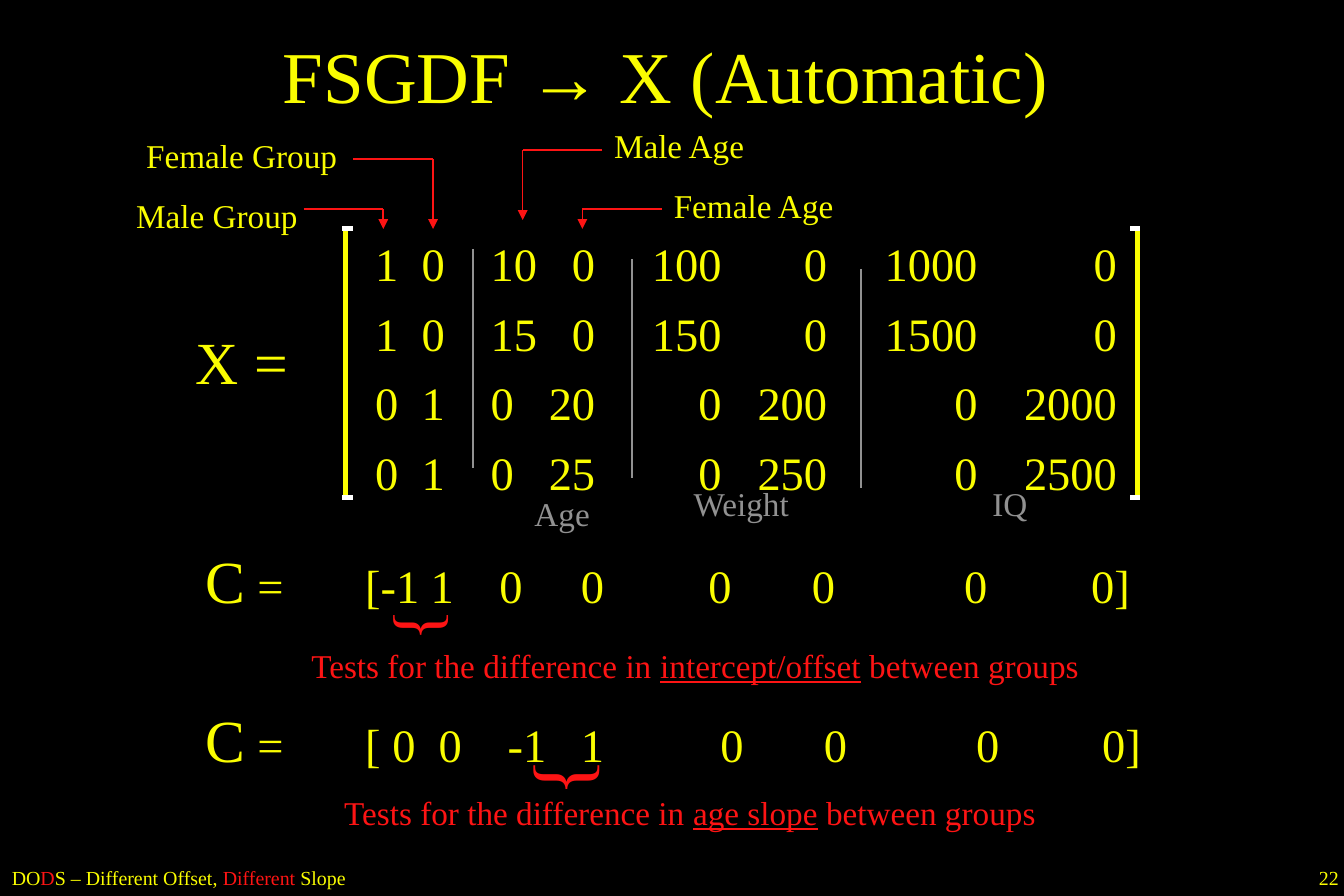
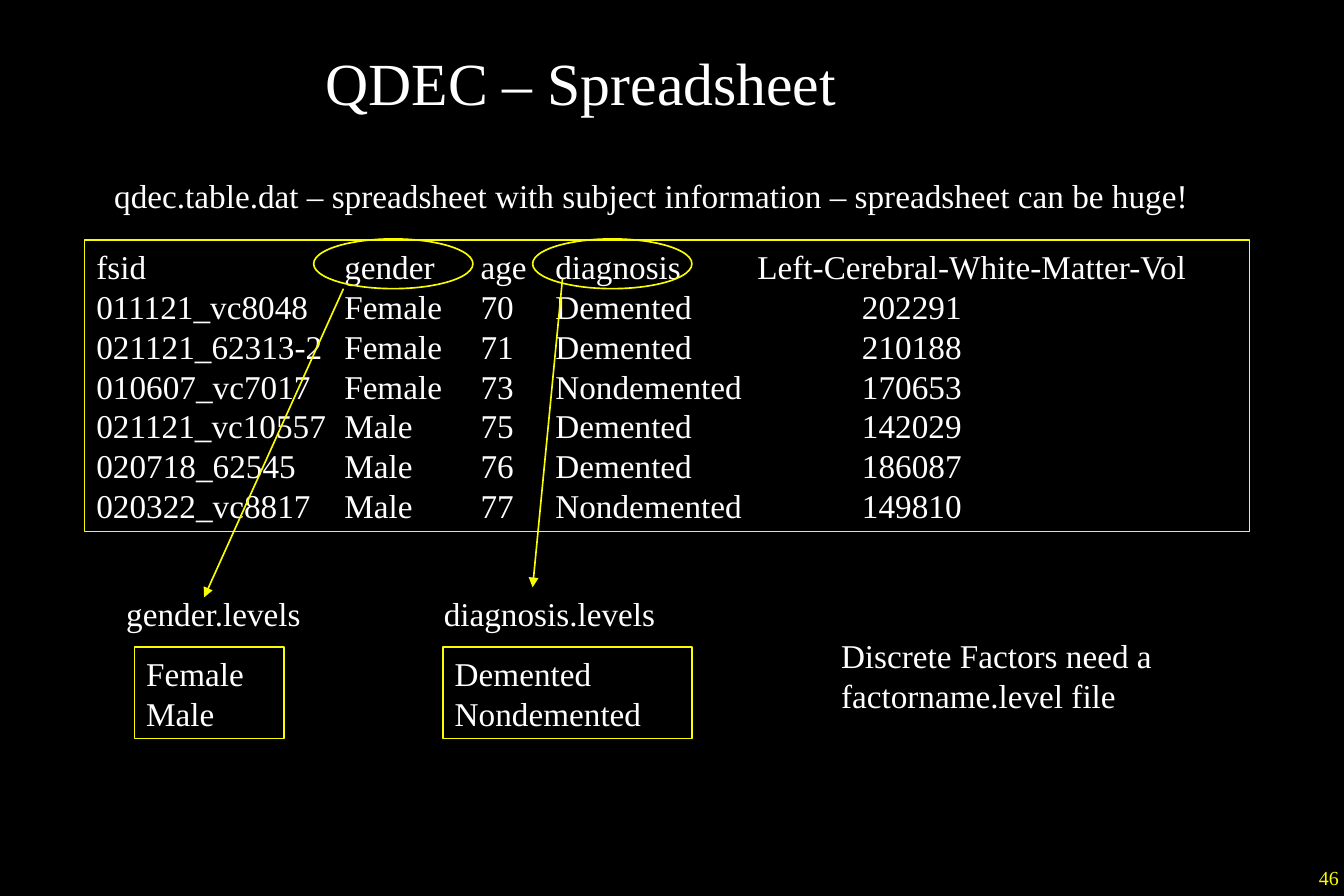
import dataclasses
import typing

import lxml.etree
import pptx
import pptx.dml.color
import pptx.enum.shapes
import pptx.enum.text
import pptx.oxml.ns
import pptx.util

# Shared look: a grid of 135 columns by 90 rows on the whole slide
WIDE, HIGH = pptx.util.Inches(11.25), pptx.util.Inches(7.5)
COLS, ROWS = 135, 90
BLACK, WHITE, GOLD, RED, GREY = "000000", "FFFFFF", "FAFD00", "FD1414", "919191"
SERIF, SANS = "Times New Roman", "Arial"
SMALL, BODY, BIG, HEAD = 12, 20, 28, 36
ROW = 5.3
SHAPE = pptx.enum.shapes.MSO_SHAPE
ALIGN = pptx.enum.text.PP_ALIGN


@dataclasses.dataclass
class Span:
    text: str
    hue: str = ""
    size: float = 0
    font: str = SERIF
    under: bool = False


@dataclasses.dataclass
class Line:
    spans: list[Span]
    tabs: str = ""  # such as "7r 11.6l": columns from the text edge


@dataclasses.dataclass
class Box:
    left: float
    top: float
    wide: float
    high: float = ROW


@dataclasses.dataclass
class Style:
    hue: str = GOLD
    size: float = BODY
    align: typing.Any = ALIGN.LEFT
    gap: float = 0


def across(cols: float) -> int:
    return round(WIDE * cols / COLS)


def down(rows: float) -> int:
    return round(HIGH * rows / ROWS)


def tint(code: str) -> pptx.dml.color.RGBColor:
    return pptx.dml.color.RGBColor.from_string(code)


def place(box: Box) -> tuple[int, int, int, int]:
    return across(box.left), down(box.top), across(box.wide), down(box.high)


def plain(*texts: str, tabs: str = "") -> list[Line]:
    return [Line([Span(text)], tabs) for text in texts]


def add_node(base: typing.Any, tag: str, **attrs: str) -> typing.Any:
    return lxml.etree.SubElement(base, pptx.oxml.ns.qn(tag), attrs)


def write(frame: typing.Any, lines: list[Line], style: Style) -> None:
    frame.word_wrap = True
    for index, line in enumerate(lines):
        para = frame.add_paragraph() if index else frame.paragraphs[0]
        if line.tabs:
            stops = add_node(para._p.get_or_add_pPr(), "a:tabLst")
            for stop in line.tabs.split():
                add_node(stops, "a:tab", pos=str(across(float(stop[:-1]))), algn=stop[-1])
        para.alignment = style.align
        if index:
            para.space_before = pptx.util.Pt(style.gap)
        for span in line.spans:
            run = para.add_run()
            run.text = span.text
            run.font.name = span.font
            run.font.size = pptx.util.Pt(span.size or style.size)
            run.font.color.rgb = tint(span.hue or style.hue)
            if span.under:
                run.font.underline = True


def add_text(slide: typing.Any, box: Box, lines: list[Line], style: Style = Style()) -> typing.Any:
    shape = slide.shapes.add_textbox(*place(box))
    write(shape.text_frame, lines, style)
    return shape


def add_frame(slide: typing.Any, kind: typing.Any, box: Box, lines: list[Line]) -> None:
    shape = slide.shapes.add_shape(kind, *place(box))
    shape.shadow.inherit = False
    shape.fill.background()
    shape.line.color.rgb = tint(GOLD)
    shape.line.width = pptx.util.Pt(1)
    if lines:
        shape.text_frame.vertical_anchor = pptx.enum.text.MSO_ANCHOR.MIDDLE
        write(shape.text_frame, lines, Style(WHITE))


def add_line(slide: typing.Any, start: tuple[float, float], end: tuple[float, float],
             hue: str, width: float = 1, arrow: bool = False) -> None:
    line = slide.shapes.add_connector(
        pptx.enum.shapes.MSO_CONNECTOR.STRAIGHT,
        across(start[0]), down(start[1]), across(end[0]), down(end[1]))
    line.line.color.rgb = tint(hue)
    line.line.width = pptx.util.Pt(width)
    if arrow:
        add_node(line.line._get_or_add_ln(), "a:tailEnd", type="triangle")
    add_node(line._element.spPr, "a:effectLst")


def add_slide(deck: typing.Any, page: str) -> typing.Any:
    slide = deck.slides.add_slide(deck.slide_layouts[6])
    shape = add_text(slide, Box(131.3, 86.4, 3.7, 3.6), plain(page), Style(size=SMALL))
    shape.text_frame.margin_right = 0
    return slide


def draw_design(deck: typing.Any) -> None:
    slide = add_slide(deck, "22")

    # Title and footer
    title = add_text(slide, Box(9.5, 0, 114.7, 15),
                     [Line([Span("FSGDF "), Span("→", font=SANS), Span(" X (Automatic)")])],
                     Style(size=44, align=ALIGN.CENTER))
    title.text_frame.vertical_anchor = pptx.enum.text.MSO_ANCHOR.MIDDLE
    add_text(slide, Box(0, 86.4, 40, 3.6),
             [Line([Span("DO"), Span("D", RED), Span("S – Different Offset, "),
                    Span("Different", RED), Span(" Slope")])], Style(size=SMALL))

    # Matrix
    add_text(slide, Box(18.5, 32, 14, 8.4), plain("X ="), Style(size=HEAD))
    add_text(slide, Box(36.5, 23, 86, 28),
             plain("1\t0\t10\t0\t100\t0\t1000\t0",
                   "1\t0\t15\t0\t150\t0\t1500\t0",
                   "0\t1\t0\t20\t0\t200\t0\t2000",
                   "0\t1\t0\t25\t0\t250\t0\t2500",
                   tabs="7r 11.6l 22.1r 34.8r 45.4r 60.5r 74.5r"),
             Style(size=BIG, gap=8.4))
    top, foot = 23, 50
    for stem, back, tip in ((34.7, 34.4, 35.5), (114.3, 114.5, 113.5)):
        add_line(slide, (stem, top), (stem, foot), GOLD, 3)
        for edge in (top, foot):
            add_line(slide, (back, edge), (tip, edge), WHITE, 3)
    for left, high in ((47.5, 25), (63.5, 26), (86.5, 27)):
        add_line(slide, (left, high), (left, high + 22), GREY)

    # Column labels and their bent arrows
    for text, left, high, hue in (
            ("Male Group", 12.5, 19, GOLD), ("Female Group", 13.5, 13, GOLD),
            ("Female Age", 66.5, 18, GOLD), ("Male Age", 60.5, 12, GOLD),
            ("Age", 52.5, 49, GREY), ("Weight", 68.5, 48, GREY), ("IQ", 98.5, 48, GREY)):
        add_text(slide, Box(left, high, 23), plain(text), Style(hue))
    for start, bend, high, low in ((30.5, 38.5, 21, 23), (35.5, 43.5, 16, 23),
                                   (66.5, 58.5, 21, 23), (60.5, 52.5, 15.1, 22.1)):
        add_line(slide, (start, high), (bend, high), RED)
        add_line(slide, (bend, high), (bend, low), RED, arrow=True)

    # Contrasts, each with a brace and a caption
    for high, text, tabs, brace, size, note, topic in (
            (54, "[-1\t1\t0\t0\t0\t0\t0\t0]",
             "16l 24.9r 31.8r 40r 52.8r 63.2r 78.5r 92.8r",
             Box(40.3, 58.2, 5.5, 9.2), 40, Box(30.1, 64.2, 84), "intercept/offset"),
            (70, "[ 0\t0\t-1\t1\t0\t0\t0\t0]",
             "16l 25.7r 34.2r 40r 54r 64.4r 79.7r 93.9r",
             Box(55.1, 72.4, 5.6, 10.8), 48, Box(33.4, 79, 84), "age slope")):
        add_text(slide, Box(19.5, high, 99, 8.4),
                 [Line([Span("C", size=HEAD), Span(" =\t" + text)], tabs)], Style(size=BIG))
        add_text(slide, brace, plain("}"), Style(RED, size)).rotation = 90
        add_text(slide, note,
                 [Line([Span("Tests for the difference in "), Span(topic, under=True),
                        Span(" between groups")])], Style(RED))


def draw_sheet(deck: typing.Any) -> None:
    slide = add_slide(deck, "46")

    # Title and lead
    add_text(slide, Box(31.5, 4, 56, 8.4), plain("QDEC – Spreadsheet"), Style(WHITE, HEAD))
    add_text(slide, Box(10.3, 17, 114),
             plain("qdec.table.dat – spreadsheet with subject information"
                   " – spreadsheet can be huge!"), Style(WHITE))

    # Listing
    stops = "24.9l 38.6l 46.1l "
    head = plain("fsid\tgender\tage\tdiagnosis\tLeft-Cerebral-White-Matter-Vol",
                 tabs=stops + "66.4l")
    data = plain("011121_vc8048\tFemale\t70\tDemented\t202291",
                 "021121_62313-2\tFemale\t71\tDemented\t210188",
                 "010607_vc7017\tFemale\t73\tNondemented\t170653",
                 "021121_vc10557\tMale\t75\tDemented\t142029",
                 "020718_62545\tMale\t76\tDemented\t186087",
                 "020322_vc8817\tMale\t77\tNondemented\t149810",
                 tabs=stops + "76.9l")
    add_frame(slide, SHAPE.RECTANGLE, Box(8.5, 24.1, 117, 29.3), head + data)

    # Factors: ring, arrow, file name and levels
    for ring, start, end, name, left, box, levels in (
            (31.5, (34.5, 29), (20.5, 60), "gender.levels", 11.5,
             Box(13.5, 65, 15, 9.2), ("Female", "Male")),
            (53.5, (56.5, 28), (53.5, 59), "diagnosis.levels", 43.4,
             Box(44.5, 65, 25, 9.2), ("Demented", "Nondemented"))):
        add_frame(slide, SHAPE.OVAL, Box(ring, 24, 16, 5), [])
        add_line(slide, start, end, GOLD, arrow=True)
        add_text(slide, Box(left, 59, 27), plain(name), Style(WHITE))
        add_frame(slide, SHAPE.RECTANGLE, box, plain(*levels))
    add_text(slide, Box(83.3, 63.2, 36, 9.2),
             plain("Discrete Factors need a", "factorname.level file"), Style(WHITE))


def main() -> None:
    deck = pptx.Presentation()
    deck.slide_width, deck.slide_height = WIDE, HIGH
    fill = deck.slide_master.background.fill
    fill.solid()
    fill.fore_color.rgb = tint(BLACK)
    draw_design(deck)
    draw_sheet(deck)
    deck.save("out.pptx")


if __name__ == "__main__":
    main()
